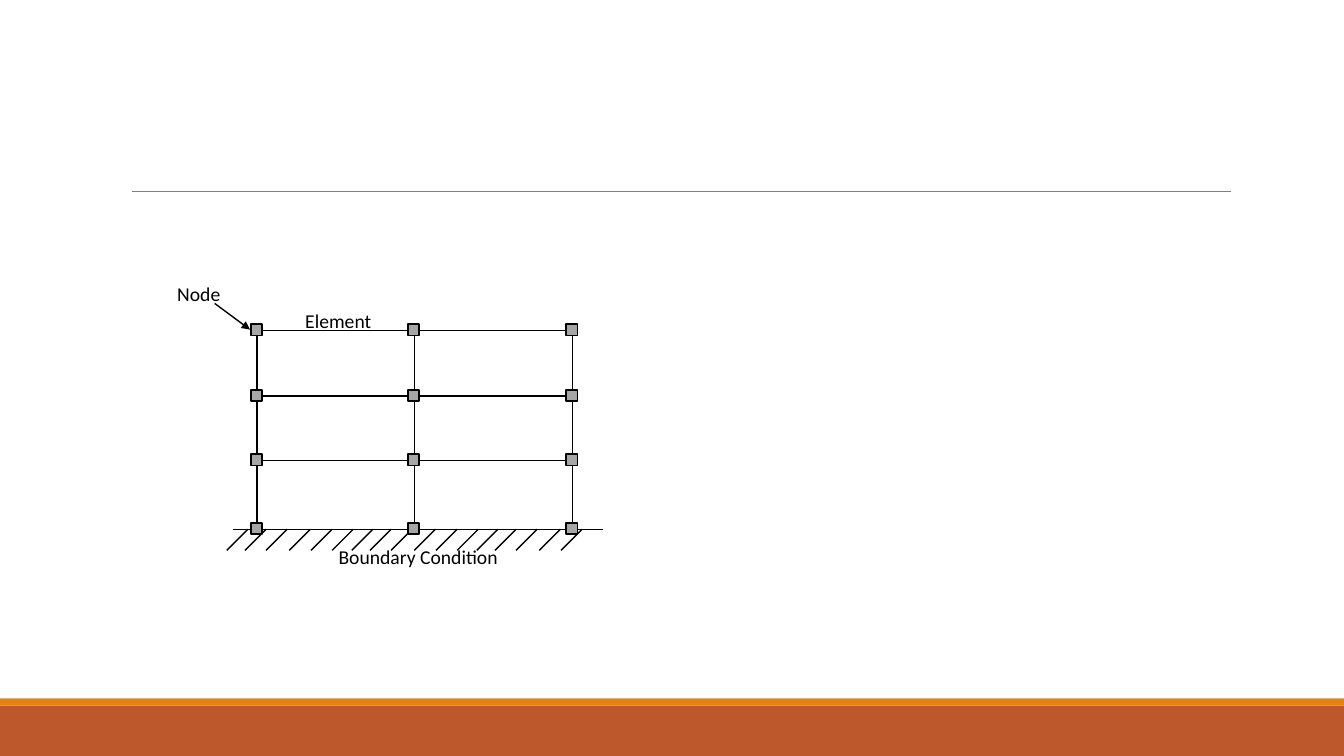
from dataclasses import dataclass
from itertools import product

from lxml.etree import SubElement as Sub
from pptx import Presentation as Deck
from pptx.dml.color import RGBColor as Rgb
from pptx.enum.shapes import MSO_CONNECTOR as Link, MSO_SHAPE as Form
from pptx.enum.text import MSO_AUTO_SIZE as Fit
from pptx.oxml.ns import qn
from pptx.shapes.shapetree import GroupShapes, SlideShapes
from pptx.util import Emu, Inches, Pt

Shapes = SlideShapes | GroupShapes

# Slide grid: 160 columns by 90 rows
WIDE, HIGH = Inches(13.33), Inches(7.5)


def col(n: float) -> Emu:
    return Emu(round(WIDE * n / 160))


def row(n: float) -> Emu:
    return Emu(round(HIGH * n / 90))


@dataclass(frozen=True)
class Theme:
    font: str = "Calibri"
    size: float = 14
    ink: str = "000000"
    node: str = "A6A6A6"
    rule: str = "808080"
    base: str = "BD582C"
    trim: str = "E48312"
    thin: float = 0.5
    line: float = 1
    edge: float = 1.25


@dataclass(frozen=True)
class Box:
    left: float
    top: float
    width: float
    height: float
    fill: str
    edge: float = 0


@dataclass(frozen=True)
class Line:
    x1: float
    y1: float
    x2: float
    y2: float
    arrow: bool = False


@dataclass(frozen=True)
class Label:
    text: str
    left: float
    top: float
    width: float


THEME = Theme()

# Footer bands
BANDS = [Box(0, 84, 160, 6, THEME.base), Box(0, 83.16, 160, 0.84, THEME.trim)]
RULE = Line(15.72, 22.8, 146.52, 22.8)

# Frame: posts, beams and ground
POSTS = (30.6, 49.32, 68.16)
BEAMS = (39.36, 47.16, 54.84)
GROUND = 63
FRAME = [Line(x, GROUND, x, BEAMS[0]) for x in POSTS]
FRAME += [Line(POSTS[0], y, POSTS[-1], y) for y in BEAMS]
FRAME += [Line(27.72, GROUND, 71.76, GROUND)]

# Hatching: one set of six strokes, set out three times less the last stroke
START, PITCH, SLANT = 29.52, 14.88, 2.52
STROKES = (0, 2.16, 4.68, 7.44, 10.02, 12.54)
TOPS = [START + PITCH * n + s for n, s in product(range(3), STROKES)][:-1]
HATCH = [Line(x, GROUND, x - SLANT, GROUND + SLANT) for x in TOPS]

# Nodes sit on every joint
SIDE, SHIFT = 1.35, 0.08
HALF = SIDE / 2 + SHIFT
NODES = [Box(x - HALF, y - HALF, SIDE, SIDE, THEME.node, THEME.edge)
         for x, y in product(POSTS, (*BEAMS, GROUND))]

# Callouts
ARROW = Line(25.56, 36.12, 29.76, 39.24, arrow=True)
LABELS = [
    Label("Node", 19.92, 33, 11.4),
    Label("Element", 35.16, 36.24, 11.4),
    Label("Boundary Condition", 39.12, 64.32, 24),
]


def draw_box(shapes: Shapes, box: Box) -> None:
    shape = shapes.add_shape(Form.RECTANGLE, col(box.left), row(box.top),
                             col(box.width), row(box.height))
    shape.shadow.inherit = False
    shape.fill.solid()
    shape.fill.fore_color.rgb = Rgb.from_string(box.fill)
    if box.edge:
        shape.line.color.rgb = Rgb.from_string(THEME.ink)
        shape.line.width = Pt(box.edge)
    else:
        shape.line.fill.background()


def draw_line(shapes: Shapes, line: Line, color: str = THEME.ink,
              width: float = THEME.line) -> None:
    link = shapes.add_connector(Link.STRAIGHT, col(line.x1), row(line.y1),
                                col(line.x2), row(line.y2))
    link.line.color.rgb = Rgb.from_string(color)
    link.line.width = Pt(width)
    if line.arrow:
        Sub(link.get_or_add_ln(), qn("a:tailEnd"), type="triangle")
    Sub(link.element.spPr, qn("a:effectLst"))


def draw_label(shapes: Shapes, label: Label) -> None:
    frame = shapes.add_textbox(col(label.left), row(label.top),
                               col(label.width), row(4.08)).text_frame
    frame.word_wrap = True
    frame.auto_size = Fit.SHAPE_TO_FIT_TEXT
    frame.text = label.text
    font = frame.paragraphs[0].runs[0].font
    font.name = THEME.font
    font.size = Pt(THEME.size)
    font.color.rgb = Rgb.from_string(THEME.ink)


def main() -> None:
    deck = Deck()
    deck.slide_width, deck.slide_height = WIDE, HIGH
    slide = deck.slides.add_slide(deck.slide_layouts[6])

    # Backdrop
    for band in BANDS:
        draw_box(slide.shapes, band)
    draw_line(slide.shapes, RULE, THEME.rule, THEME.thin)

    # Frame model, kept as one group
    model = slide.shapes.add_group_shape().shapes
    for line in FRAME + HATCH:
        draw_line(model, line)
    for node in NODES:
        draw_box(model, node)
    draw_line(model, ARROW)
    for label in LABELS:
        draw_label(model, label)

    deck.save("out.pptx")


if __name__ == "__main__":
    main()
